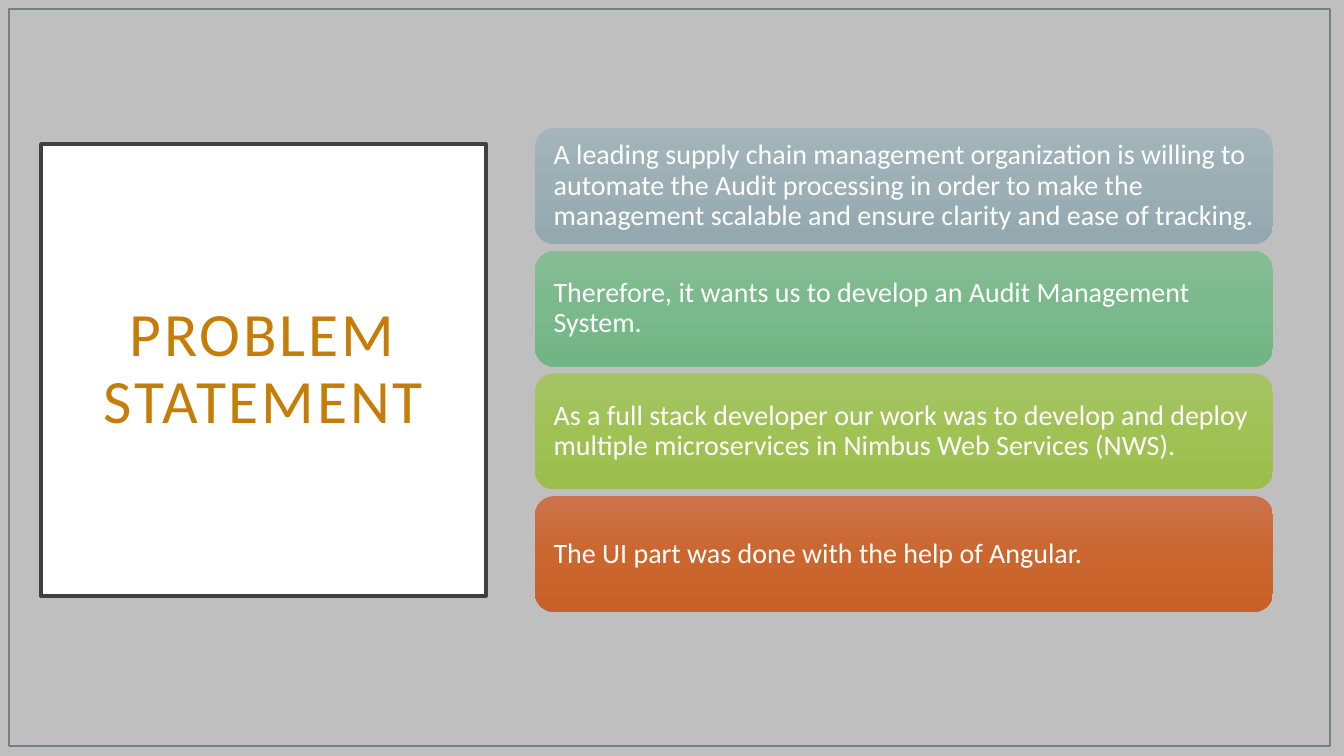
from copy import deepcopy

from pptx import Presentation
from pptx.dml.color import RGBColor
from pptx.enum import shapes, text
from pptx.oxml.ns import qn
from pptx import util as u

SCALE = 914400 / 100.8
COLORS = {
    "background": "BFBFBF",
    "white": "FFFFFF",
    "title": "C67D08",
    "title_border": "404040",
    "frame": "738186",
}
STATEMENTS = [
    ("A leading supply chain management organization is willing to automate "
     "the Audit processing in order to make the management scalable and "
     "ensure clarity and ease of tracking.", ("A3B5BB", "9BAFB5", "93A9AF")),
    ("Therefore, it wants us to develop an Audit Management System.",
     ("86BD95", "7AB98B", "72B584")),
    ("As a full stack developer our work was to develop and deploy multiple "
     "microservices in Nimbus Web Services (NWS).",
     ("A5C466", "A0C255", "9BBE4D")),
    ("The UI part was done with the help of Angular.",
     ("CC734B", "CB662F", "C86128")),
]
BAR_LEFT, BAR_TOP, BAR_WIDTH, BAR_HEIGHT = 535, 128, 738, 116
LAST_BAR_TOP = 496


def px(n):
    return u.Emu(round(n * SCALE))


def rgb(name):
    return RGBColor.from_string(COLORS[name])


def set_attrs(obj, values):
    for name, value in values.items():
        setattr(obj, name, value)


def add_box(slide, kind, box, line=None, width=1):
    sp = slide.shapes.add_shape(kind, *map(px, box))
    sp.shadow.inherit = False
    sp.fill.background()
    if line:
        sp.line.color.rgb = rgb(line)
        sp.line.width = u.Pt(width)
    else:
        sp.line.fill.background()
    return sp


def fill_gradient(sp, stops):
    sp.fill.gradient()
    sp.fill.gradient_angle = 270
    gs_list = sp._element.spPr.find(qn("a:gradFill")).find(qn("a:gsLst"))
    gs_list.insert(1, deepcopy(gs_list[0]))
    for i, (stop, color) in enumerate(zip(sp.fill.gradient_stops, stops)):
        stop.position = i / 2
        stop.color.rgb = RGBColor.from_string(color)


def write(sp, content, size, color, align, inset):
    tf = sp.text_frame
    sides = ("left", "top", "right", "bottom")
    set_attrs(tf, {f"margin_{side}": px(inset) for side in sides})
    set_attrs(tf, {"word_wrap": True,
                   "vertical_anchor": text.MSO_ANCHOR.MIDDLE})
    p = tf.paragraphs[0]
    set_attrs(p, {"alignment": align, "line_spacing": 0.9})
    r = p.add_run()
    r.text = content
    set_attrs(r.font, {"name": "Calibri", "size": u.Pt(size)})
    r.font.color.rgb = rgb(color)
    return r


def add_title(slide):
    sp = add_box(slide, shapes.MSO_SHAPE.RECTANGLE, (41, 144, 445, 452),
                 "title_border", 2.5)
    sp.fill.solid()
    sp.fill.fore_color.rgb = rgb("white")
    r = write(sp, "PROBLEM STATEMENT", 44, "title", text.PP_ALIGN.CENTER, 20)
    r.font._element.set("spc", "200")


def add_statement(slide, top, content, stops):
    sp = add_box(slide, shapes.MSO_SHAPE.ROUNDED_RECTANGLE,
                 (BAR_LEFT, top, BAR_WIDTH, BAR_HEIGHT))
    fill_gradient(sp, stops)
    write(sp, content, 20, "white", text.PP_ALIGN.LEFT, 13)


def main():
    prs = Presentation()
    set_attrs(prs, {"slide_width": px(1344), "slide_height": px(756)})
    slide = prs.slides.add_slide(prs.slide_layouts[6])
    slide.background.fill.solid()
    slide.background.fill.fore_color.rgb = rgb("background")

    add_title(slide)
    pitch = (LAST_BAR_TOP - BAR_TOP) / (len(STATEMENTS) - 1)
    for i, (content, stops) in enumerate(STATEMENTS):
        add_statement(slide, BAR_TOP + i * pitch, content, stops)
    add_box(slide, shapes.MSO_SHAPE.RECTANGLE, (9, 9, 1321, 737), "frame")

    prs.save("out.pptx")


if __name__ == "__main__":
    main()
